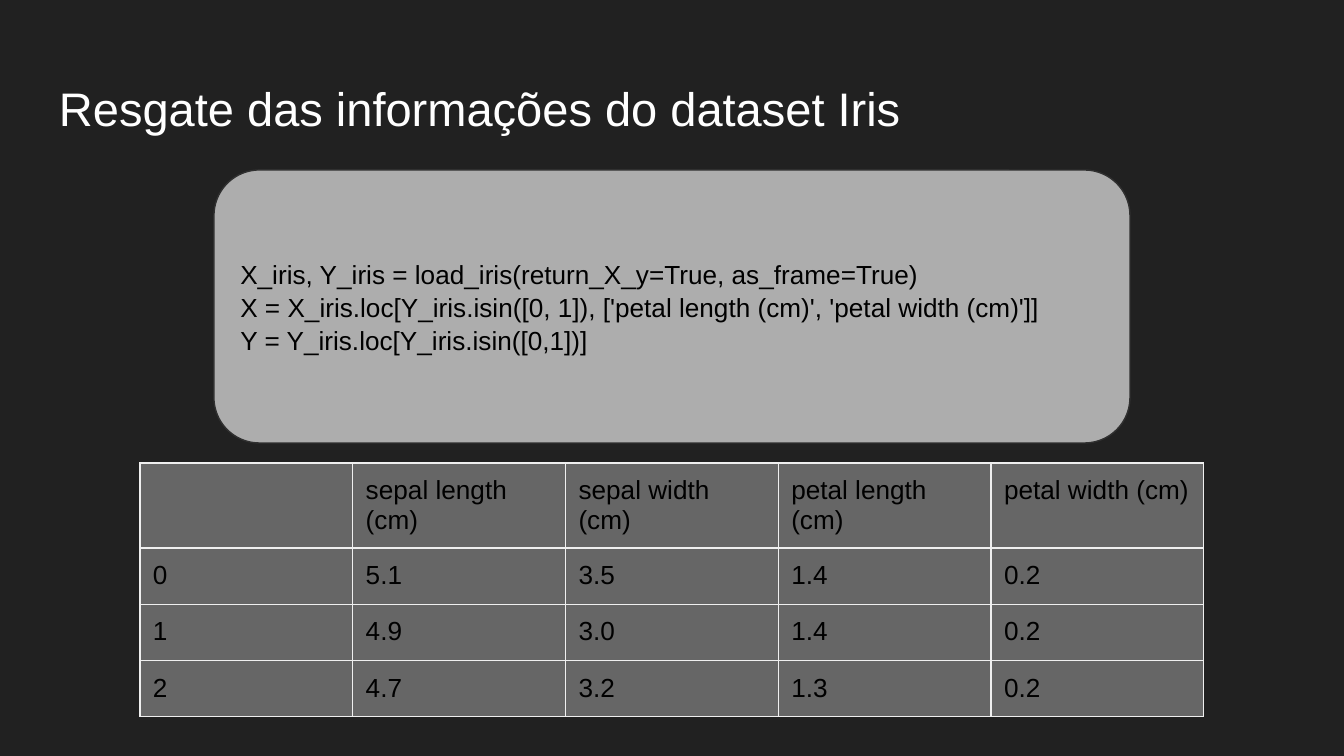
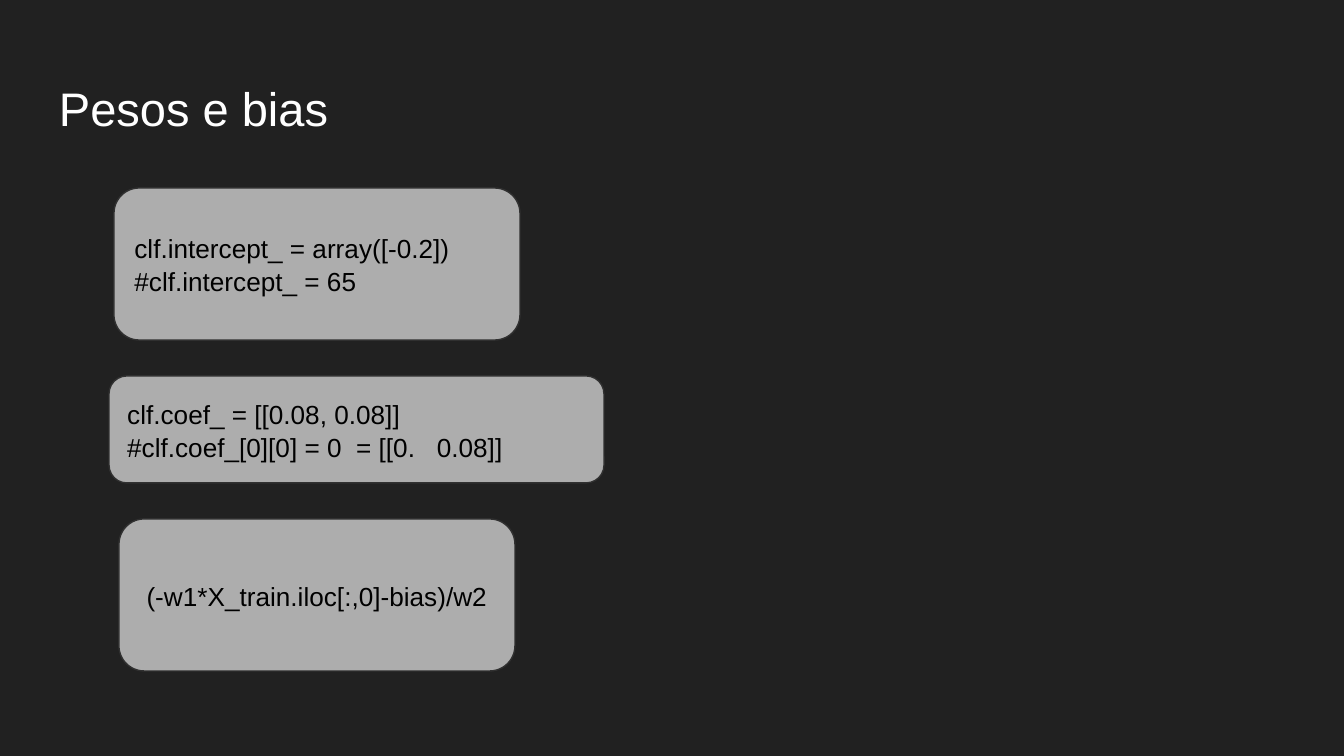
from lxml import etree
from pptx import Presentation
from pptx.dml.color import RGBColor
from pptx.enum.shapes import MSO_SHAPE
from pptx.enum.text import MSO_ANCHOR, MSO_AUTO_SIZE, PP_ALIGN
from pptx.oxml.ns import qn
from pptx.util import Emu, Pt

ROUNDED = MSO_SHAPE.ROUNDED_RECTANGLE
TOP, MIDDLE = MSO_ANCHOR.TOP, MSO_ANCHOR.MIDDLE
LEFT, CENTER = PP_ALIGN.LEFT, PP_ALIGN.CENTER
NO_AUTOFIT = MSO_AUTO_SIZE.NONE

# Shared look
WIDTH, HEIGHT = 1344, 756
FONT = "Arial"
BACKGROUND, WHITE, BLACK = "212121", "FFFFFF", "000000"
CODE_FILL, CODE_LINE = "ADADAD", "303030"
CELL_FILL, CELL_LINE = "666666", "EFEFEF"
TITLE_BOX = (46, 66, 1253, 85)
TITLE_SIZE, BODY_SIZE = 25.2, 14
LINE_WIDTH = Pt(0.75)
CODE_SPACING = 1.05
INSET = 13

IRIS_CODE = [
    "X_iris, Y_iris = load_iris(return_X_y=True, as_frame=True)",
    "X = X_iris.loc[Y_iris.isin([0, 1]), ['petal length (cm)', 'petal width (cm)']]",
    "Y = Y_iris.loc[Y_iris.isin([0,1])]",
]
IRIS_ROWS = [
    ["", "sepal length (cm)", "sepal width (cm)", "petal length (cm)", "petal width (cm)"],
    ["0", "5.1", "3.5", "1.4", "0.2"],
    ["1", "4.9", "3.0", "1.4", "0.2"],
    ["2", "4.7", "3.2", "1.3", "0.2"],
]


def px(n):
    return Emu(round(n * 9144000 / WIDTH))


def rgb(color):
    return RGBColor.from_string(color)


def set_margins(target):
    target.margin_left = target.margin_right = px(INSET)
    target.margin_top = target.margin_bottom = px(INSET)


def write(tf, lines, size, color, align=LEFT, spacing=1.0):
    for i, line in enumerate(lines):
        p = tf.paragraphs[0] if i == 0 else tf.add_paragraph()
        p.text = line
        p.alignment = align
        p.line_spacing = spacing
        p.font.name = FONT
        p.font.size = Pt(size)
        p.font.color.rgb = rgb(color)


def add_titled_slide(prs, title):
    s = prs.slides.add_slide(prs.slide_layouts[5])
    s.background.fill.solid()
    s.background.fill.fore_color.rgb = rgb(BACKGROUND)
    sp = s.shapes.title
    sp.left, sp.top, sp.width, sp.height = map(px, TITLE_BOX)
    tf = sp.text_frame
    tf.word_wrap = True
    tf.auto_size = NO_AUTOFIT
    tf.vertical_anchor = TOP
    set_margins(tf)
    write(tf, [title], TITLE_SIZE, WHITE)
    return s


def add_code_box(s, box, lines, align=LEFT):
    sp = s.shapes.add_shape(ROUNDED, *map(px, box))
    sp.shadow.inherit = False
    sp.fill.solid()
    sp.fill.fore_color.rgb = rgb(CODE_FILL)
    sp.line.color.rgb = rgb(CODE_LINE)
    sp.line.width = LINE_WIDTH
    tf = sp.text_frame
    tf.word_wrap = True
    tf.vertical_anchor = MIDDLE
    set_margins(tf)
    write(tf, lines, BODY_SIZE, BLACK, align, CODE_SPACING)


def set_borders(cell):
    tc_pr = cell._tc.get_or_add_tcPr()
    # Borders must come before the cell fill
    for i, side in enumerate(("a:lnL", "a:lnR", "a:lnT", "a:lnB")):
        ln = etree.Element(qn(side), w=str(LINE_WIDTH))
        fill = etree.SubElement(ln, qn("a:solidFill"))
        etree.SubElement(fill, qn("a:srgbClr"), val=CELL_LINE)
        tc_pr.insert(i, ln)


def add_data_table(s, box, rows, header_height):
    left, top, width, height = box
    frame = s.shapes.add_table(len(rows), len(rows[0]), *map(px, box))
    table = frame.table
    table.first_row = table.horz_banding = False
    row_height = (height - header_height) / (len(rows) - 1)
    for col in table.columns:
        col.width = px(width / len(rows[0]))
    for i, values in enumerate(rows):
        table.rows[i].height = px(row_height if i else header_height)
        for j, value in enumerate(values):
            cell = table.cell(i, j)
            cell.fill.solid()
            cell.fill.fore_color.rgb = rgb(CELL_FILL)
            cell.vertical_anchor = TOP
            set_margins(cell)
            set_borders(cell)
            write(cell.text_frame, [value], BODY_SIZE, BLACK)


def build_dataset_slide(prs):
    s = add_titled_slide(prs, "Resgate das informações do dataset Iris")
    add_code_box(s, (214, 170, 916, 273), IRIS_CODE)
    add_data_table(s, (140, 463, 1064, 254), IRIS_ROWS, 85)


def build_weights_slide(prs):
    s = add_titled_slide(prs, "Pesos e bias")
    add_code_box(s, (109, 376, 495, 107),
                 ["clf.coef_ = [[0.08, 0.08]]", "#clf.coef_[0][0] = 0  = [[0.   0.08]]"])
    add_code_box(s, (114, 188, 406, 152),
                 ["clf.intercept_ = array([-0.2])", "#clf.intercept_ = 65"])
    add_code_box(s, (119, 519, 396, 152), ["(-w1*X_train.iloc[:,0]-bias)/w2"], CENTER)


def main():
    prs = Presentation()
    prs.slide_width, prs.slide_height = px(WIDTH), px(HEIGHT)
    build_dataset_slide(prs)
    build_weights_slide(prs)
    prs.save("out.pptx")


if __name__ == "__main__":
    main()
